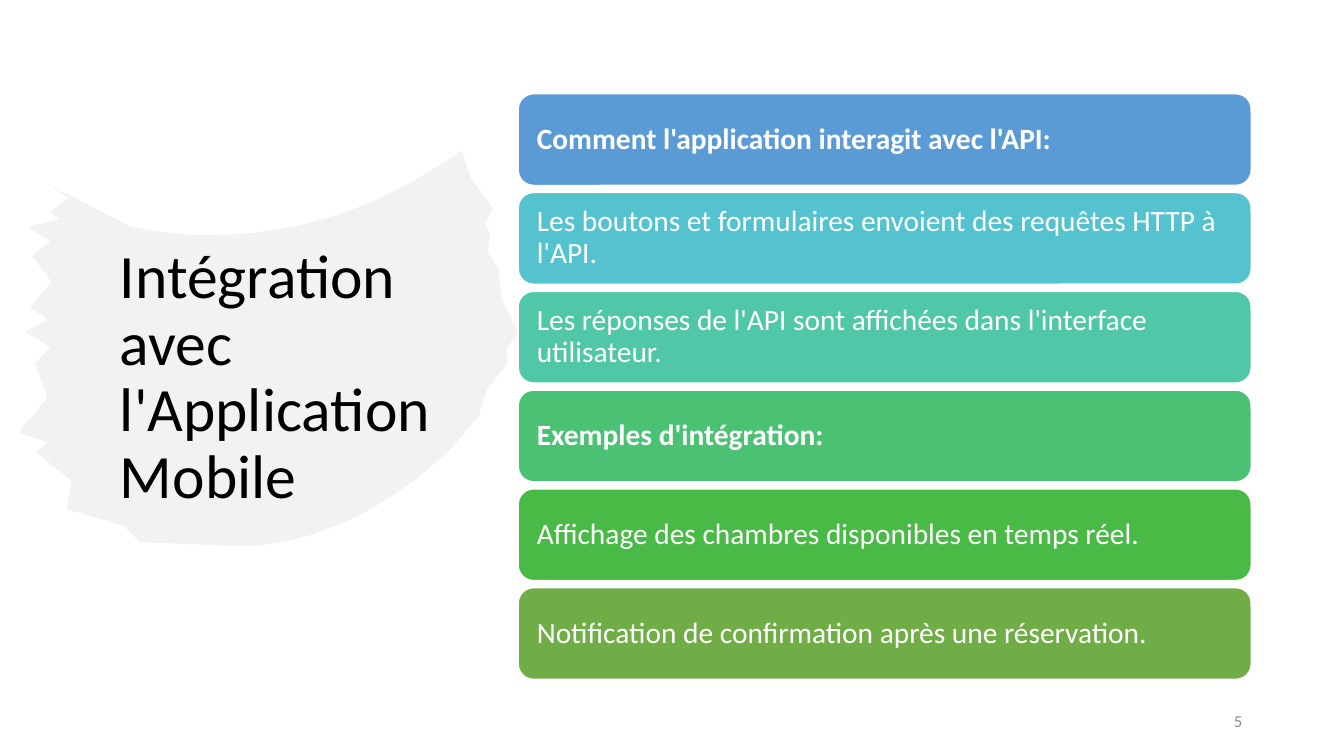
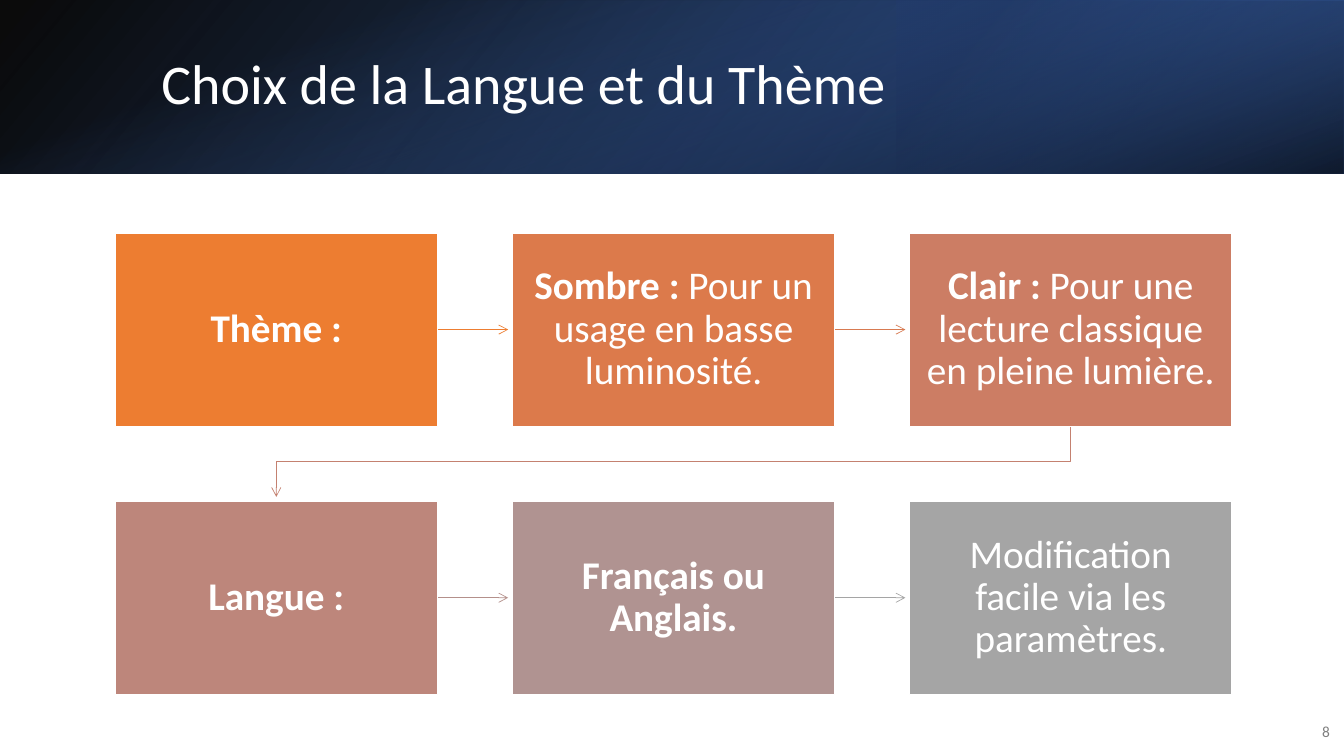
from dataclasses import dataclass
from itertools import pairwise

from pptx import Presentation
from pptx.dml.color import RGBColor
from pptx.enum.shapes import MSO_CONNECTOR, MSO_SHAPE
from pptx.enum.text import MSO_ANCHOR, MSO_AUTO_SIZE, PP_ALIGN
from pptx.oxml.ns import qn
from pptx.oxml.xmlchemy import OxmlElement
from pptx.util import Inches, Pt


@dataclass(frozen=True)
class Theme:
    font: str = "Calibri"
    black: str = "000000"
    white: str = "FFFFFF"
    brush: str = "E7E6E6"
    grey: str = "8C8C8C"
    dark_grey: str = "808080"
    title: int = 44
    band_title: int = 40
    row: int = 21
    card: int = 28
    number: int = 12
    band_number: int = 11
    border: float = 1
    arrow: float = 0.5


T = Theme()

# Content: integration slide (text, bold, fill)
INTEGRATION_TITLE = "Intégration avec l'Application Mobile"
ROWS = [
    ("Comment l'application interagit avec l'API:", True, "5B9BD5"),
    ("Les boutons et formulaires envoient des requêtes HTTP à l'API.", False, "55C3CF"),
    ("Les réponses de l'API sont affichées dans l'interface utilisateur.", False, "50C8A7"),
    ("Exemples d'intégration:", True, "4BC174"),
    ("Affichage des chambres disponibles en temps réel.", False, "4ABA46"),
    ("Notification de confirmation après une réservation.", False, "70AD47"),
]

# Content: language and theme slide (bold part, plain part, fill, outgoing arrow)
CHOICE_TITLE = "Choix de la Langue et du Thème"
CARDS = [
    ("Thème :", "", "ED7D31", "ED7D31"),
    ("Sombre :", " Pour un usage en basse luminosité.", "DC7A4B", "D87A51"),
    ("Clair :", " Pour une lecture classique en pleine lumière.", "CC7D64", "C48170"),
    ("Langue :", "", "BD867B", "B4908B"),
    ("Français ou Anglais.", "", "B09391", "A5A5A5"),
    ("", "Modification facile via les paramètres.", "A5A5A5", None),
]

# Header layers: box, rotation, mirrored, angle, stops (position, colour, opacity %)
BAND_LAYERS = [
    ((0, 0, 13.33, 1.72), 0, True, 140, [(0, "000000", 96), (1, "2F5597", 100)]),
    ((8.89, 0, 4.44, 1.72), 180, True, 320, [(0.19, "203864", 68), (1, "4472C4", 79)]),
    ((5.8, -5.8, 1.72, 13.33), 90, False, 340, [(0.23, "4472C4", 0), (0.99, "000000", 74)]),
]

# Brush stroke: two smooth edges (Bézier controls) and two ragged ends (bristle tips)
BRUSH_TOP = [(1.3, 2.25), (2.2, 2.45), (3.3, 2.3), (4.23, 1.72)]
BRUSH_RIGHT = [(4.58, 1.5), (4.89, 2.06), (4.86, 2.35), (4.94, 2.66),
               (5.14, 3.3), (5.03, 3.61), (4.75, 4.12)]
BRUSH_BOTTOM = [(4.56, 4.35), (4.56, 4.36), (3.72, 5.33), (2.49, 5.42)]
BRUSH_LEFT = [(1.39, 5.38), (0.66, 5.05), (0.36, 4.49), (0.19, 4.29), (0.35, 3.6),
              (0.25, 3.29), (0.3, 3.05), (0.32, 2.54), (0.28, 2.25), (0.5, 2.1),
              (0.46, 1.82)]


def rgb(color):
    return RGBColor.from_string(color)


def box(x, y, w, h):
    return [Inches(v) for v in (x, y, w, h)]


def write(s, runs, size, color=T.white, align=PP_ALIGN.LEFT, inset=(0.1, 0.05), spacing=0.9):
    """Fill a shape with one paragraph of (text, bold) runs."""
    tf = s.text_frame
    tf.word_wrap = True
    tf.auto_size = MSO_AUTO_SIZE.NONE
    tf.vertical_anchor = MSO_ANCHOR.MIDDLE
    tf.margin_left = tf.margin_right = Inches(inset[0])
    tf.margin_top = tf.margin_bottom = Inches(inset[1])
    p = tf.paragraphs[0]
    p.alignment = align
    p.line_spacing = spacing
    for text, bold in runs:
        if text:
            r = p.add_run()
            r.text = text
            r.font.name, r.font.size, r.font.bold = T.font, Pt(size), bold
            r.font.color.rgb = rgb(color)


def add_title(slide, text, at, size, color):
    """Place the title placeholder above the decoration drawn so far."""
    s = slide.shapes.title
    s.left, s.top, s.width, s.height = box(*at)
    write(s, [(text, False)], size, color)
    slide.shapes._spTree.append(s._element)


def add_number(slide, text, at, size, color):
    s = slide.shapes.add_textbox(*box(*at))
    write(s, [(text, False)], size, color, align=PP_ALIGN.RIGHT, spacing=1)


def add_panel(slide, kind, at, color):
    s = slide.shapes.add_shape(kind, *box(*at))
    s.shadow.inherit = False
    s.fill.solid()
    s.fill.fore_color.rgb = rgb(color)
    s.line.color.rgb = rgb(T.white)
    s.line.width = Pt(T.border)
    return s


def set_opacity(s, percents):
    """Give each fill colour of the shape its opacity."""
    for clr, percent in zip(s._element.spPr.iter(qn("a:srgbClr")), percents):
        alpha = OxmlElement("a:alpha")
        alpha.set("val", str(percent * 1000))
        clr.append(alpha)


def smooth(controls, steps=12):
    """Points along a cubic Bézier curve."""
    points = []
    for i in range(steps + 1):
        t = i / steps
        weights = ((1 - t) ** 3, 3 * t * (1 - t) ** 2, 3 * t * t * (1 - t), t ** 3)
        points.append(tuple(sum(w * c for w, c in zip(weights, axis))
                            for axis in zip(*controls)))
    return points


def ragged(tips, depth):
    """Bristle tips with a notch halfway between neighbours."""
    points = [tips[0]]
    for (x1, y1), (x2, y2) in pairwise(tips):
        points += [((x1 + x2) / 2 + depth, (y1 + y2) / 2), (x2, y2)]
    return points


def add_brush(slide):
    outline = (smooth(BRUSH_TOP) + ragged(BRUSH_RIGHT, -0.06)
               + smooth(BRUSH_BOTTOM) + ragged(BRUSH_LEFT, 0.2))
    points = [(Inches(x), Inches(y)) for x, y in outline]
    builder = slide.shapes.build_freeform(*points[0])
    builder.add_line_segments(points[1:])
    s = builder.convert_to_shape()
    s.shadow.inherit = False
    s.fill.solid()
    s.fill.fore_color.rgb = rgb(T.brush)
    s.line.fill.background()
    set_opacity(s, [50])


def add_band(slide):
    for at, rotation, mirrored, angle, stops in BAND_LAYERS:
        s = slide.shapes.add_shape(MSO_SHAPE.RECTANGLE, *box(*at))
        s.shadow.inherit = False
        s.line.fill.background()
        s.rotation = rotation
        if mirrored:
            s._element.spPr.xfrm.set("flipH", "1")
        s.fill.gradient()
        s.fill.gradient_angle = 360 - angle
        for stop, (position, color, _) in zip(s.fill.gradient_stops, stops):
            stop.position = position
            stop.color.rgb = rgb(color)
        set_opacity(s, [opacity for _, _, opacity in stops])


def add_arrow(slide, kind, x1, y1, x2, y2, color):
    s = slide.shapes.add_connector(kind, *box(x1, y1, x2, y2))
    s.line.color.rgb = rgb(color)
    s.line.width = Pt(T.arrow)
    tail = OxmlElement("a:tailEnd")
    tail.set("type", "arrow")
    s.line._get_or_add_ln().append(tail)
    s._element.spPr.append(OxmlElement("a:effectLst"))
    return s


def add_return_arrow(slide, x1, y1, x2, y2, color):
    """Elbow that leaves downwards: a quarter turn about its centre."""
    cx, cy = (x1 + x2) / 2, (y1 + y2) / 2
    half_w, half_h = (y2 - y1) / 2, (x1 - x2) / 2
    s = add_arrow(slide, MSO_CONNECTOR.ELBOW, cx - half_w, cy - half_h,
                  cx + half_w, cy + half_h, color)
    s._element.spPr.xfrm.set("rot", str(90 * 60000))


def integration_slide(slide):
    add_brush(slide)
    add_title(slide, INTEGRATION_TITLE, (1.09, 0.75, 3.82, 6.01), T.title, T.black)
    add_number(slide, "5", (9.42, 6.95, 3, 0.4), T.number, T.grey)
    # Stack of rows
    left, top, width, height, pitch = 5.14, 0.93, 7.27, 0.91, 0.98
    for i, (text, bold, color) in enumerate(ROWS):
        s = add_panel(slide, MSO_SHAPE.ROUNDED_RECTANGLE,
                      (left, top + i * pitch, width, height), color)
        write(s, [(text, bold)], T.row, inset=(0.14, 0.09))


def choice_slide(slide):
    add_band(slide)
    add_title(slide, CHOICE_TITLE, (1.5, 0.38, 10.98, 0.96), T.band_title, T.white)
    add_number(slide, "8", (12.8, 7.06, 0.49, 0.4), T.band_number, T.dark_grey)
    # Grid of cards, each leading to the next
    left, top, width, height = 1.14, 2.31, 3.2, 1.92
    columns, step_x, step_y, gap = 3, 3.94, 2.66, 0.04
    for i, (strong, plain, color, arrow) in enumerate(CARDS):
        row, col = divmod(i, columns)
        x, y = left + col * step_x, top + row * step_y
        if arrow and col < columns - 1:
            middle = y + height / 2
            add_arrow(slide, MSO_CONNECTOR.STRAIGHT, x + width, middle,
                      x + step_x - gap, middle, arrow)
        elif arrow:
            add_return_arrow(slide, x + width / 2, y + height,
                             left + width / 2, y + step_y - gap, arrow)
        s = add_panel(slide, MSO_SHAPE.RECTANGLE, (x, y, width, height), color)
        write(s, [(strong, True), (plain, False)], T.card,
              align=PP_ALIGN.CENTER, inset=(0.16, 0.16))


def main():
    prs = Presentation()
    prs.slide_width, prs.slide_height = Inches(13.33), Inches(7.5)
    title_only = prs.slide_layouts[5]
    for build in (integration_slide, choice_slide):
        build(prs.slides.add_slide(title_only))
    prs.save("out.pptx")


if __name__ == "__main__":
    main()
